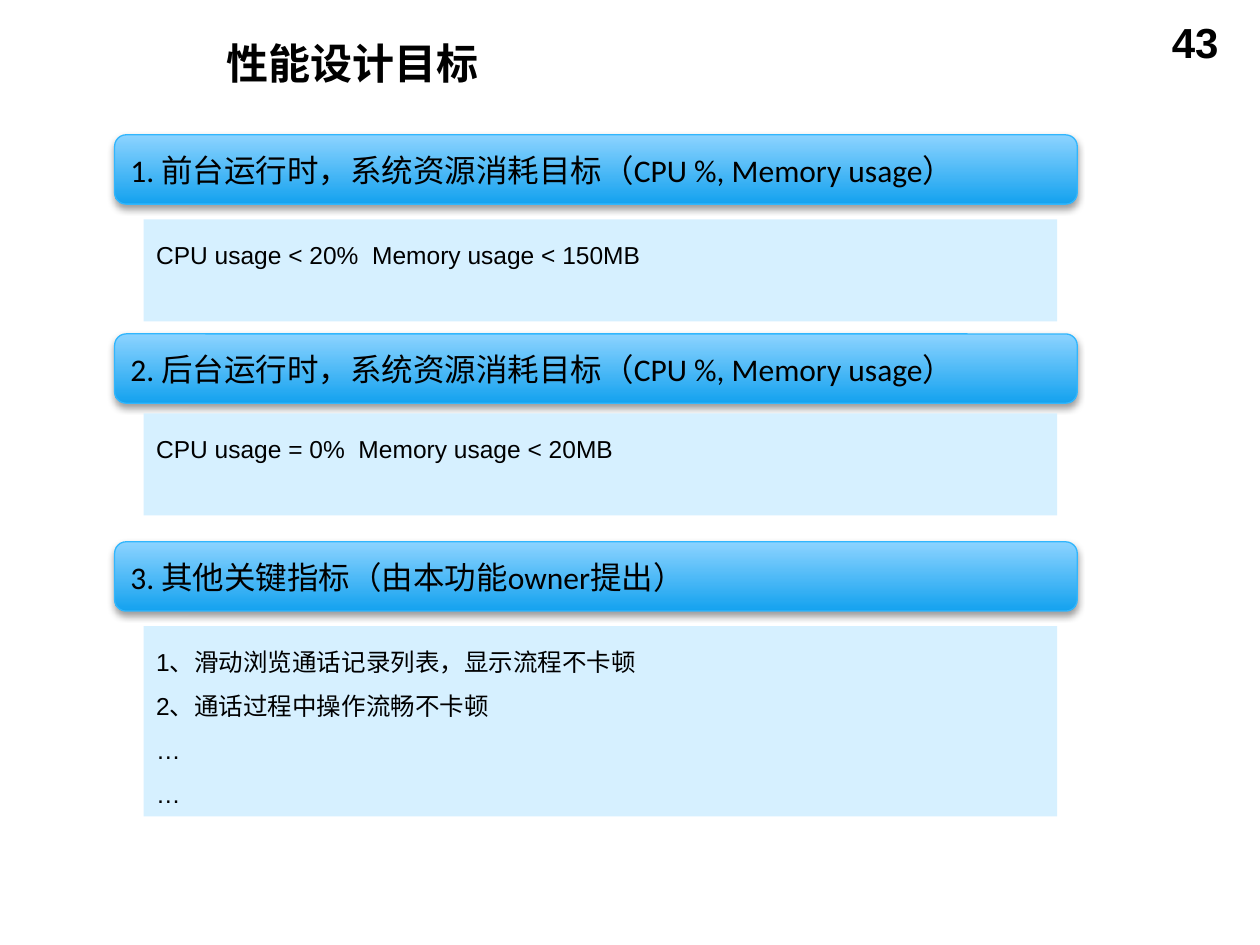
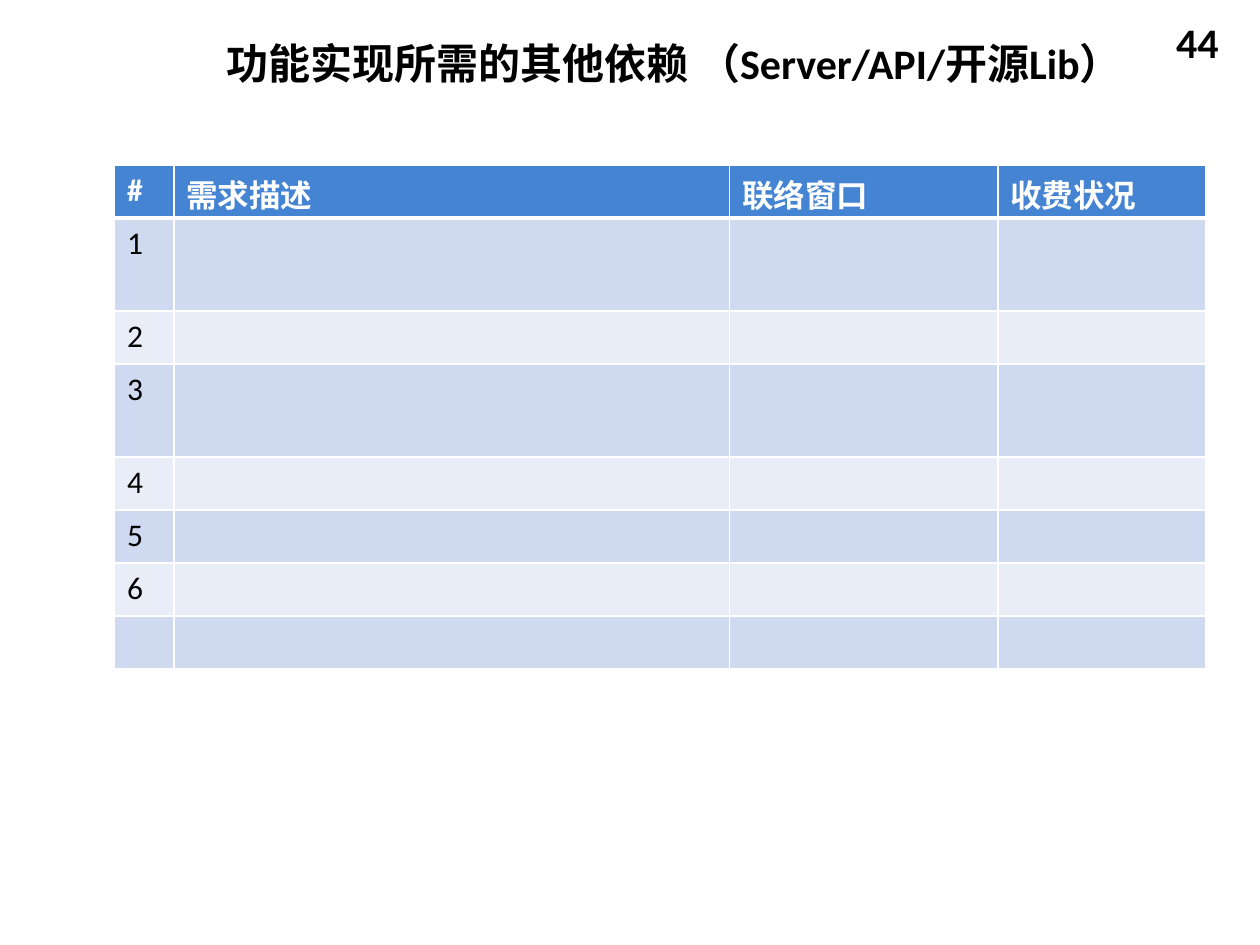
from lxml import etree
from pptx import Presentation
from pptx.dml.color import RGBColor
from pptx.enum import shapes, text
from pptx.oxml import ns
from pptx.util import Inches, Pt

BLACK = RGBColor(0x00, 0x00, 0x00)
WHITE = RGBColor(0xFF, 0xFF, 0xFF)
BAND_TOP = RGBColor(0x8C, 0xD3, 0xFF)
BAND_BOTTOM = RGBColor(0x14, 0xA2, 0xEF)
BAND_EDGE = RGBColor(0x31, 0xB6, 0xFD)
PANEL = RGBColor(0xD6, 0xF0, 0xFF)
HEADER = RGBColor(0x45, 0x84, 0xD3)
ROW_DARK = RGBColor(0xCF, 0xD9, 0xEF)
ROW_LIGHT = RGBColor(0xE9, 0xED, 0xF7)

LEFT = 0.91
SHAPE = shapes.MSO_SHAPE


def write(frame, lines, size, font="Calibri", color=BLACK, bold=False,
          align=text.PP_ALIGN.LEFT, spacing=None):
    """Put one paragraph per line into a text frame, all in one style."""
    frame.word_wrap = True
    for i, line in enumerate(lines):
        paragraph = frame.add_paragraph() if i else frame.paragraphs[0]
        paragraph.alignment = align
        paragraph.line_spacing = spacing
        run = paragraph.add_run()
        run.text = line
        run.font.size = Pt(size)
        run.font.name = font
        run.font.bold = bold
        run.font.color.rgb = color


def add_child(parent, tag, **attributes):
    return etree.SubElement(parent, ns.qn(tag), attributes)


prs = Presentation()
prs.slide_width, prs.slide_height = Inches(10), Inches(7.5)

# Page number and title on each slide
slides = []
for number, number_font, title in [
    ("43", "Arial", "性能设计目标"),
    ("44", "Calibri", "功能实现所需的其他依赖 （Server/API/开源Lib）"),
]:
    slide = prs.slides.add_slide(prs.slide_layouts[6])
    page = slide.shapes.add_textbox(Inches(7.44), Inches(0.08), Inches(2.33), Inches(0.52))
    write(page.text_frame, [number], 24, number_font, bold=True, align=text.PP_ALIGN.RIGHT)
    heading = slide.shapes.add_textbox(Inches(1.7), Inches(0.25), Inches(7.63), Inches(0.5))
    write(heading.text_frame, [title], 24, bold=True)
    slides.append(slide)
goals_slide, needs_slide = slides

# Performance goals: a band with the goal above a panel with its targets
goals = [
    (1.07, "1. 前台运行时，系统资源消耗目标（CPU %, Memory usage）",
     1.74, 0.81, ["CPU usage < 20%  Memory usage < 150MB"]),
    (2.65, "2. 后台运行时，系统资源消耗目标（CPU %, Memory usage）",
     3.28, 0.81, ["CPU usage = 0%  Memory usage < 20MB"]),
    (4.3, "3. 其他关键指标（由本功能owner提出）",
     4.97, 1.51, ["1、滑动浏览通话记录列表，显示流程不卡顿", "2、通话过程中操作流畅不卡顿", "…", "…"]),
]
for band_top, goal, panel_top, panel_height, targets in goals:
    band = goals_slide.shapes.add_shape(
        SHAPE.ROUNDED_RECTANGLE, Inches(LEFT), Inches(band_top), Inches(7.64), Inches(0.55))
    band.fill.gradient()
    band.fill.gradient_angle = 270
    for stop, color, position in zip(band.fill.gradient_stops, (BAND_TOP, BAND_BOTTOM), (0, 1)):
        stop.color.rgb = color
        stop.position = position
    band.line.color.rgb = BAND_EDGE
    band.line.width = Pt(0.75)
    band.shadow.inherit = False
    effects = band.element.spPr.find(ns.qn("a:effectLst"))
    shadow = add_child(effects, "a:outerShdw", blurRad=str(Pt(4)), dist=str(Pt(2)),
                       dir="5400000", rotWithShape="0")
    add_child(add_child(shadow, "a:srgbClr", val=str(BLACK)), "a:alpha", val="38000")
    band.text_frame.vertical_anchor = text.MSO_ANCHOR.MIDDLE
    write(band.text_frame, [goal], 18)

    panel = goals_slide.shapes.add_shape(
        SHAPE.RECTANGLE, Inches(1.14), Inches(panel_top), Inches(7.25), Inches(panel_height))
    panel.fill.solid()
    panel.fill.fore_color.rgb = PANEL
    panel.line.fill.background()
    panel.shadow.inherit = False
    panel.text_frame.vertical_anchor = text.MSO_ANCHOR.TOP
    write(panel.text_frame, targets, 14, "Arial", spacing=1.5)

# Other dependencies: a numbered table left open to fill in
headings = ["#", "需求描述", "联络窗口", "收费状况"]
rows = [headings] + [[n, "", "", ""] for n in ("1", "2", "3", "4", "5", "6", "")]
widths = [0.47, 4.41, 2.13, 1.65]
heights = [0.42, 0.74, 0.42, 0.74, 0.42, 0.42, 0.42, 0.42]
needs = needs_slide.shapes.add_table(
    len(rows), len(widths), Inches(LEFT), Inches(1.31),
    Inches(sum(widths)), Inches(sum(heights))).table
for column, width in zip(needs.columns, widths):
    column.width = Inches(width)
for r, (row, height) in enumerate(zip(rows, heights)):
    needs.rows[r].height = Inches(height)
    for c, words in enumerate(row):
        cell = needs.cell(r, c)
        properties = cell._tc.get_or_add_tcPr()
        for side in ("L", "R", "T", "B"):
            under_header = (r, side) in [(0, "B"), (1, "T")]
            border = add_child(properties, f"a:ln{side}", w=str(Pt(3 if under_header else 1)))
            add_child(add_child(border, "a:solidFill"), "a:srgbClr", val=str(WHITE))
        cell.fill.solid()
        cell.fill.fore_color.rgb = HEADER if r == 0 else ROW_DARK if r % 2 else ROW_LIGHT
        if words:
            write(cell.text_frame, [words], 18, color=BLACK if r else WHITE, bold=r == 0)

prs.save("out.pptx")
